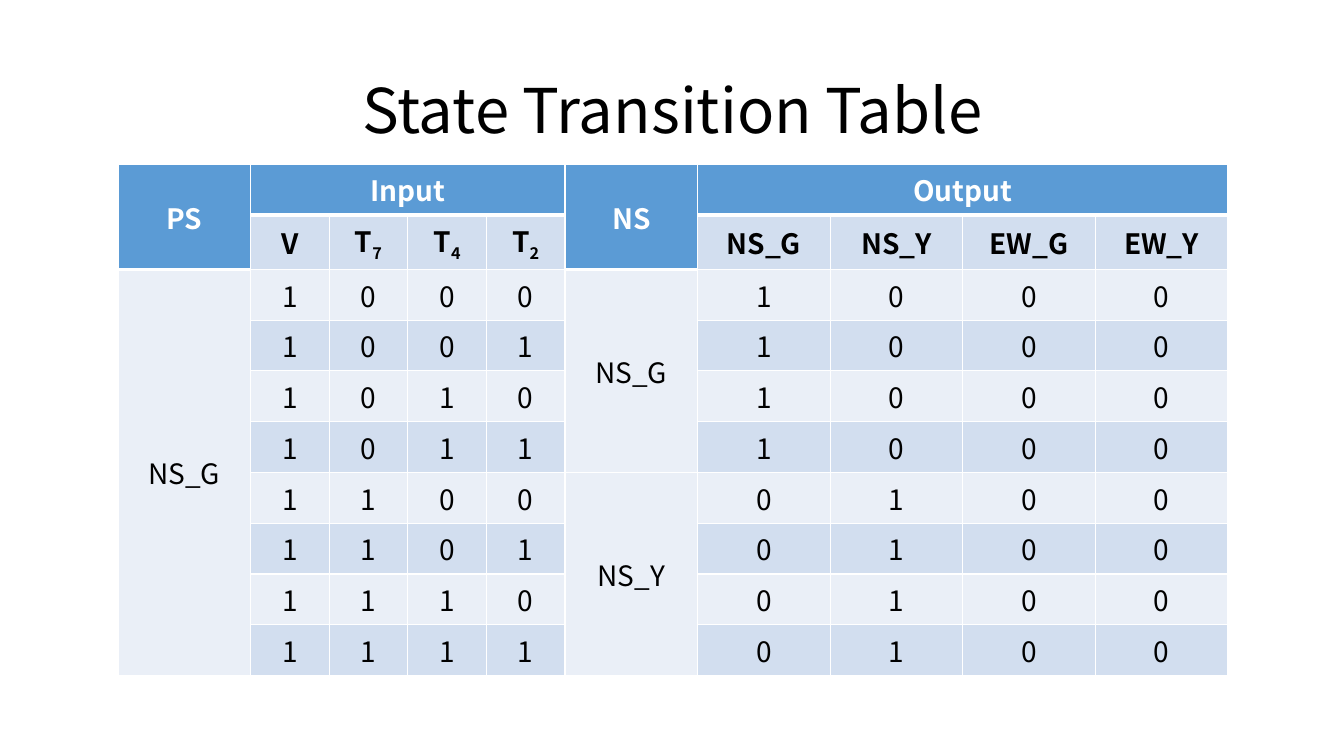
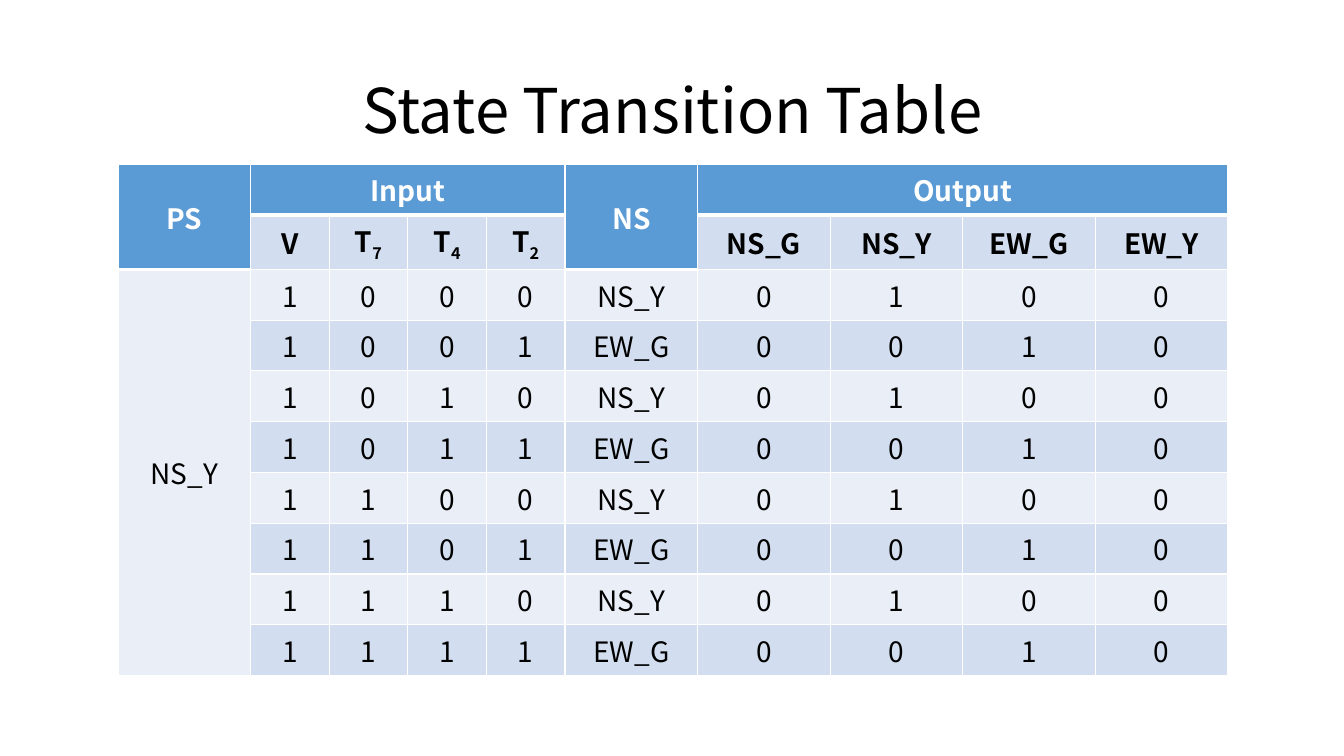
from itertools import groupby, product

from lxml.etree import SubElement
from pptx import Presentation
from pptx.dml.color import RGBColor
from pptx.enum.text import MSO_ANCHOR, MSO_AUTO_SIZE, PP_ALIGN
from pptx.oxml.ns import qn
from pptx.util import Inches, Pt

COLORS = {
    "text": "000000",
    "white": "FFFFFF",
    "header": "5B9BD5",
    "dark_band": "D2DEEF",
    "light_band": "EAEFF7",
}
FONT = "Noto Sans CJK KR"
STATES = ["NS_G", "NS_Y", "EW_G", "EW_Y"]
INPUTS = ["V", "T7", "T4", "T2"]
PS_COL, INPUT_COL, NS_COL, OUTPUT_COL = 0, 1, 5, 6
HEADER_ROWS = 2


class Deck:
    """Hold the shared style and the current slide, placed on a 100 by 100 grid."""

    def __init__(self):
        self.prs = Presentation()
        self.prs.slide_width = Inches(13.33)
        self.prs.slide_height = Inches(7.5)
        self.slide = None

    def x(self, cols):
        return round(self.prs.slide_width * cols / 100)

    def y(self, rows):
        return round(self.prs.slide_height * rows / 100)

    def style(self, p, size, color, bold=False):
        p.alignment = PP_ALIGN.CENTER
        for r in p.runs:
            r.font.name = FONT
            r.font.size = Pt(size)
            r.font.bold = bold
            r.font.color.rgb = RGBColor.from_string(COLORS[color])

    def add_slide(self, title):
        self.slide = self.prs.slides.add_slide(self.prs.slide_layouts[5])
        sp = self.slide.shapes.title
        sp.left, sp.top = self.x(6.9), self.y(5.33)
        sp.width, sp.height = self.x(86.25), self.y(19.33)
        tf = sp.text_frame
        tf.text = title
        tf.auto_size = MSO_AUTO_SIZE.NONE
        tf.vertical_anchor = MSO_ANCHOR.MIDDLE
        tf.paragraphs[0].line_spacing = 0.9
        self.style(tf.paragraphs[0], 44, "text")

    def add_grid(self, rows):
        width, narrow = 82.6, 5.85
        cols = OUTPUT_COL + len(STATES)
        wide = (width - len(INPUTS) * narrow) / (cols - len(INPUTS))
        frame = self.slide.shapes.add_table(
            rows, cols, self.x(8.78), self.y(21.73), self.x(width), self.y(64.67))
        table = frame.table
        table.first_row = table.horz_banding = False
        for i, col in enumerate(table.columns):
            col.width = self.x(narrow if INPUT_COL <= i < NS_COL else wide)
        for i in range(rows):
            for j in range(cols):
                heading = i == 0 or (i == 1 and j in (PS_COL, NS_COL))
                self.border(table.cell(i, j), i == 0, 3 if heading else 1)
        return table

    def border(self, cell, top, bottom):
        tc_pr = cell._tc.get_or_add_tcPr()
        for side, width in (("L", 1), ("R", 1), ("T", top), ("B", bottom)):
            if width:
                ln = SubElement(tc_pr, qn("a:ln" + side), w=str(Pt(width)))
                fill = SubElement(ln, qn("a:solidFill"))
                SubElement(fill, qn("a:srgbClr"), val=COLORS["white"])

    def fill_cell(self, table, row, col, text, fill, color="text", bold=False, span=(1, 1)):
        cell = table.cell(row, col)
        if span != (1, 1):
            cell.merge(table.cell(row + span[0] - 1, col + span[1] - 1))
        cell.fill.solid()
        cell.fill.fore_color.rgb = RGBColor.from_string(COLORS[fill])
        cell.vertical_anchor = MSO_ANCHOR.MIDDLE
        p = cell.text_frame.paragraphs[0]
        base, subscript = (text[0], text[1:]) if text in INPUTS else (text, "")
        p.text = base
        if subscript:
            r = p.add_run()
            r.text = subscript
            r._r.get_or_add_rPr().set("baseline", "-25000")
        self.style(p, 20, color, bold)

    def add_transitions(self, state, next_state):
        inputs = [(1, *timers) for timers in product((0, 1), repeat=3)]
        targets = [next_state(*bits) for bits in inputs]
        table = self.add_grid(HEADER_ROWS + len(inputs))
        for col, text, span in (
            (PS_COL, "PS", (HEADER_ROWS, 1)),
            (INPUT_COL, "Input", (1, len(INPUTS))),
            (NS_COL, "NS", (HEADER_ROWS, 1)),
            (OUTPUT_COL, "Output", (1, len(STATES))),
        ):
            self.fill_cell(table, 0, col, text, "header", "white", True, span)
        for start, names in ((INPUT_COL, INPUTS), (OUTPUT_COL, STATES)):
            for col, name in enumerate(names, start):
                self.fill_cell(table, 1, col, name, "dark_band", bold=True)

        bands = ["light_band", "dark_band"]
        self.fill_cell(table, HEADER_ROWS, PS_COL, state, bands[0], span=(len(inputs), 1))
        row = HEADER_ROWS
        for target, group in groupby(targets):
            count = len(list(group))
            self.fill_cell(table, row, NS_COL, target, bands[row % 2], span=(count, 1))
            row += count
        for row, (bits, target) in enumerate(zip(inputs, targets), HEADER_ROWS):
            outputs = [int(name == target) for name in STATES]
            for start, values in ((INPUT_COL, bits), (OUTPUT_COL, outputs)):
                for col, value in enumerate(values, start):
                    self.fill_cell(table, row, col, str(value), bands[row % 2])


def main():
    deck = Deck()
    for state, next_state in (
        ("NS_G", lambda v, t7, t4, t2: "NS_Y" if t7 else "NS_G"),
        ("NS_Y", lambda v, t7, t4, t2: "EW_G" if t2 else "NS_Y"),
    ):
        deck.add_slide("State Transition Table")
        deck.add_transitions(state, next_state)
    deck.prs.save("out.pptx")


if __name__ == "__main__":
    main()
